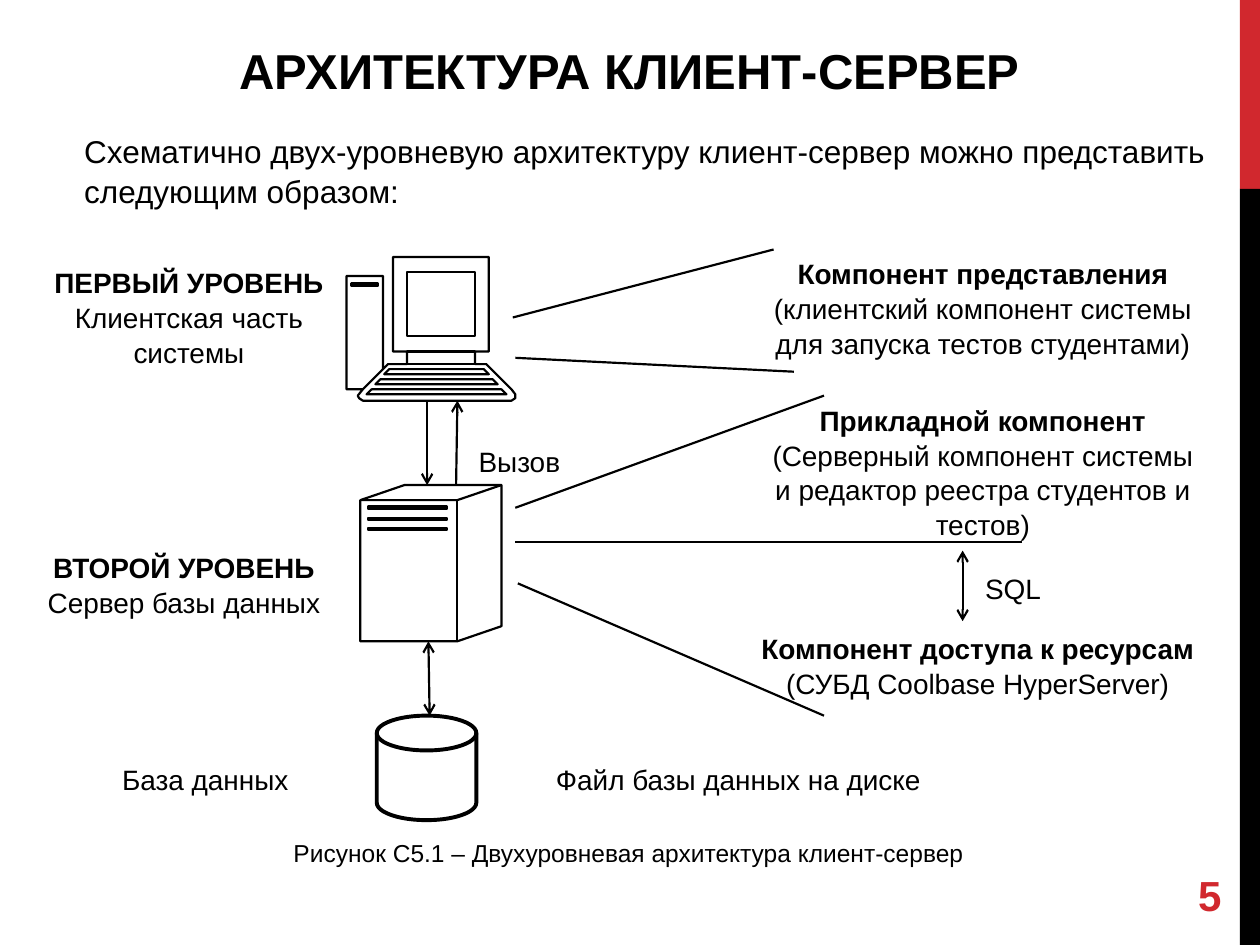
from pptx import Presentation
from pptx import util as u
from pptx.dml import color
from pptx.enum import shapes, text
from pptx.oxml import xmlchemy
from lxml import etree
from pptx.oxml import ns

Inches = u.Inches
CENTER, LEFT = text.PP_ALIGN.CENTER, text.PP_ALIGN.LEFT
TOP, MIDDLE, BOTTOM = (text.MSO_ANCHOR.TOP, text.MSO_ANCHOR.MIDDLE,
                       text.MSO_ANCHOR.BOTTOM)
BLACK, RED = "000000", "D1282E"


def rgb(value):
    return color.RGBColor.from_string(value)


def box(left, top, right, bottom):
    return [(left, top), (right, top), (right, bottom), (left, bottom)]


class Diagram:
    font = "Arial"
    size = 16
    weight = 1.25
    spacing = 1.04

    def __init__(self, slide):
        self.s = slide

    def outline(self, sp, weight):
        sp.line.color.rgb = rgb(BLACK)
        sp.line.width = u.Pt(weight)

    def shape(self, kind, at, fill=None, weight=None):
        sp = self.s.shapes.add_shape(kind, *map(Inches, at))
        sp.shadow.inherit = False
        if fill:
            sp.fill.solid()
            sp.fill.fore_color.rgb = rgb(fill)
        else:
            sp.fill.background()
        if weight:
            self.outline(sp, weight)
        else:
            sp.line.fill.background()
        return sp

    def freeform(self, contours):
        start = contours[0][0][0]
        fb = self.s.shapes.build_freeform(*map(Inches, start))
        for i, (points, close) in enumerate(contours):
            pts = [(Inches(x), Inches(y)) for x, y in points]
            if i:
                fb.move_to(*pts[0])
            fb.add_line_segments(pts[1:], close=close)
        sp = fb.convert_to_shape()
        sp.shadow.inherit = False
        sp.fill.background()
        self.outline(sp, self.weight)
        return sp

    def line(self, start, end, head=False, tail=False):
        c = self.s.shapes.add_connector(
            shapes.MSO_CONNECTOR.STRAIGHT, *map(Inches, start + end))
        self.outline(c, self.weight)
        ln = c.line._get_or_add_ln()
        for tag, wanted in (("a:headEnd", head), ("a:tailEnd", tail)):
            if wanted:
                etree.SubElement(ln, ns.qn(tag), type="arrow")
        etree.SubElement(c._element.spPr, ns.qn("a:effectLst"))
        return c

    def text(self, at, lines, bold=False, size=None, ink=BLACK,
             align=CENTER, anchor=TOP, indent=0):
        sp = self.s.shapes.add_textbox(*map(Inches, at))
        tf = sp.text_frame
        frame = {"word_wrap": True, "vertical_anchor": anchor}
        for name, value in frame.items():
            setattr(tf, name, value)
        for i, words in enumerate(lines):
            p = tf.paragraphs[0] if i == 0 else tf.add_paragraph()
            p.alignment = align
            p.line_spacing = self.spacing
            if indent:
                p._p.get_or_add_pPr().set("marL", str(Inches(indent)))
            r = p.add_run()
            r.text = words
            fmt = {"name": self.font, "size": u.Pt(size or self.size),
                   "bold": bold and i == 0}
            for name, value in fmt.items():
                setattr(r.font, name, value)
            r.font.color.rgb = rgb(ink)
        return sp


def computer():
    keys = []
    for i in range(3):
        d, y = 0.07 * i, 2.93 + 0.08 * i
        keys.append(([(3.88 + d, y + 0.04), (3.84 + d, y),
                      (3.09 - d, y), (3.05 - d, y + 0.04)], True))
    body = [(3.04, 2.93), (3.08, 2.89), (3.23, 2.89), (3.23, 2.79),
            (3.12, 2.79), (3.12, 2.04), (3.88, 2.04), (3.88, 2.79),
            (3.77, 2.79), (3.77, 2.89), (3.86, 2.89), (4.06, 3.09),
            (4.09, 3.13), (4.09, 3.16), (4.06, 3.18), (2.88, 3.18),
            (2.85, 3.16), (2.84, 3.14), (2.88, 3.09), (2.75, 3.09),
            (2.75, 2.19), (3.04, 2.19)]
    edge = [(3.04, 2.93), (2.88, 3.09)]
    parts = [box(3.23, 2.16, 3.77, 2.67), box(2.79, 2.25, 3, 2.27),
             box(3.23, 2.79, 3.77, 2.89)]
    return keys + [(body, True), (edge, False)] + [(b, True) for b in parts]


def server():
    case = [(2.86, 3.97), (3.21, 3.85), (3.98, 3.85), (3.98, 4.97),
            (3.63, 5.09), (2.86, 5.09)]
    edges = [[(2.86, 3.97), (3.63, 3.97), (3.98, 3.85)],
             [(3.63, 3.97), (3.63, 5.09)]]
    slots = [box(2.92, y, 3.55, y + 0.02) for y in (4.02, 4.11, 4.19)]
    return ([(case, True)] + [(e, False) for e in edges]
            + [(b, True) for b in slots])


def main():
    prs = Presentation()
    prs.slide_width, prs.slide_height = Inches(10), Inches(7.5)
    d = Diagram(prs.slides.add_slide(prs.slide_layouts[6]))
    kinds = shapes.MSO_SHAPE

    d.shape(kinds.RECTANGLE, (9.84, 0, 0.16, 1.5), RED)
    d.shape(kinds.RECTANGLE, (9.84, 1.5, 0.16, 6), BLACK)
    d.text((0.27, 0.17, 9.45, 0.67), ["АРХИТЕКТУРА КЛИЕНТ-СЕРВЕР"],
           bold=True, size=28, anchor=BOTTOM)
    d.text((0.27, 0.99, 9.45, 0.79),
           ["Схематично двух-уровневую архитектуру клиент-сервер "
            "можно представить следующим образом:"],
           size=18, align=LEFT, indent=0.3)

    d.freeform(computer())
    d.freeform(server())
    d.shape(kinds.FLOWCHART_MAGNETIC_DISK, (2.99, 5.68, 0.79, 0.83),
            weight=2.25)

    d.line((3.39, 3.18), (3.39, 3.85), tail=True)
    d.line((3.62, 3.85), (3.63, 3.18), tail=True)
    for start, end in (((3.4, 5.09), (3.41, 5.68)),
                       ((7.64, 4.37), (7.64, 4.93))):
        d.line(start, end, head=True, tail=True)
    for start, end in (((4.09, 4.3), (8.11, 4.3)),
                       ((4.11, 4.63), (6.54, 5.68)),
                       ((4.09, 4.03), (6.54, 3.14)),
                       ((4.09, 2.84), (6.3, 2.95)),
                       ((4.07, 2.52), (6.14, 1.98))):
        d.line(start, end)

    for at, lines in (
            ((0.32, 2.05, 2.36, 0.9),
             ["ПЕРВЫЙ УРОВЕНЬ", "Клиентская часть системы"]),
            ((0.24, 4.31, 2.44, 0.64),
             ["ВТОРОЙ УРОВЕНЬ", "Сервер базы данных"]),
            ((5.99, 1.98, 3.62, 0.9),
             ["Компонент представления",
              "(клиентский компонент системы для запуска тестов студентами)"]),
            ((5.99, 3.14, 3.62, 1.17),
             ["Прикладной компонент",
              "(Серверный компонент системы и редактор реестра "
              "студентов и тестов)"]),
            ((5.87, 4.95, 3.78, 0.64),
             ["Компонент доступа к ресурсам", "(СУБД Coolbase HyperServer)"])):
        d.text(at, lines, bold=True)

    d.text((0.41, 5.99, 2.44, 0.37), ["База данных"])
    d.text((4.05, 5.99, 3.62, 0.37), ["Файл базы данных на диске"])
    d.text((3.7, 3.47, 1.29, 0.37), ["Вызов"], align=LEFT)
    d.text((7.72, 4.48, 1.29, 0.37), ["SQL"], align=LEFT)
    d.text((1.05, 6.59, 7.88, 0.34),
           ["Рисунок С5.1 – Двухуровневая архитектура клиент-сервер"], size=14)
    d.text((9.41, 6.89, 0.45, 0.4), ["5"], bold=True, size=24, ink=RED,
           align=LEFT, anchor=MIDDLE)

    prs.save("out.pptx")


if __name__ == "__main__":
    main()
